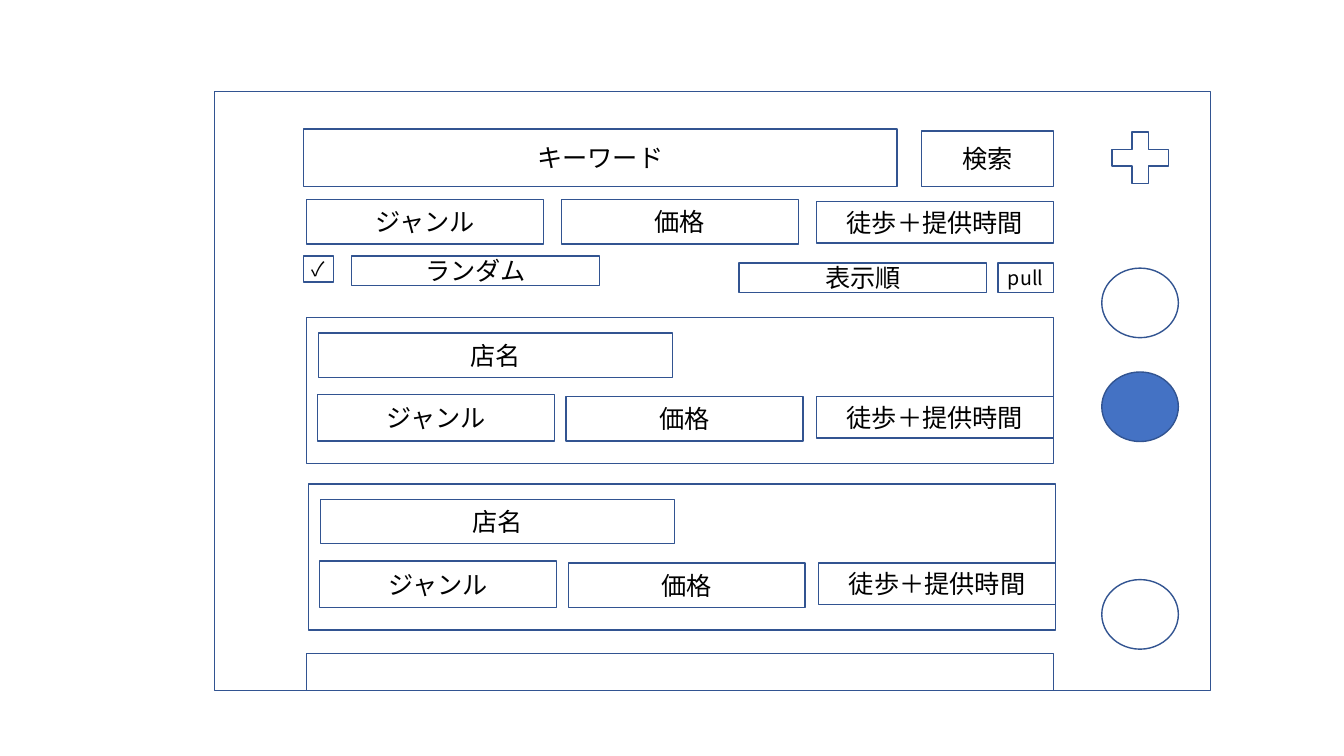
from dataclasses import dataclass

from lxml import etree
from pptx import Presentation
from pptx.dml.color import RGBColor
from pptx.enum.shapes import MSO_SHAPE
from pptx.enum.text import MSO_ANCHOR, PP_ALIGN
from pptx.oxml.ns import qn
from pptx.slide import Slide
from pptx.util import Pt

RECTANGLE = MSO_SHAPE.RECTANGLE
OVAL = MSO_SHAPE.OVAL
PLUS = MSO_SHAPE.MATH_PLUS
MIDDLE = MSO_ANCHOR.MIDDLE
CENTER = PP_ALIGN.CENTER
BLANK_LAYOUT = 6


@dataclass(frozen=True)
class Theme:
    font: str = "Noto Sans CJK JP"
    text: RGBColor = RGBColor(0, 0, 0)
    outline: RGBColor = RGBColor(0x32, 0x54, 0x91)
    accent: RGBColor = RGBColor(0x44, 0x72, 0xC4)
    outline_width: float = 1
    label_size: float = 18
    small_size: float = 14


THEME = Theme()


@dataclass(frozen=True)
class Part:
    """One outlined element of the wireframe, measured in points."""
    left: float
    top: float
    width: float
    height: float
    label: str = ""
    size: float = THEME.label_size
    kind: MSO_SHAPE = RECTANGLE
    fill: RGBColor | None = None


def draw_part(slide: Slide, part: Part, dx: float = 0, dy: float = 0) -> None:
    shape = slide.shapes.add_shape(
        part.kind, Pt(part.left + dx), Pt(part.top + dy), Pt(part.width), Pt(part.height))
    shape.shadow.inherit = False
    shape.line.color.rgb = THEME.outline
    shape.line.width = Pt(THEME.outline_width)
    if part.fill is None:
        shape.fill.background()
    else:
        shape.fill.solid()
        shape.fill.fore_color.rgb = part.fill
    if part.label:
        write_label(shape.text_frame, part)


def write_label(frame, part: Part) -> None:
    frame.text = part.label
    frame.word_wrap = True
    frame.vertical_anchor = MIDDLE
    frame.margin_left = frame.margin_right = frame.margin_top = frame.margin_bottom = 0
    paragraph = frame.paragraphs[0]
    paragraph.alignment = CENTER
    run = paragraph.runs[0]
    run.font.size = Pt(part.size)
    run.font.color.rgb = THEME.text
    run.font.name = THEME.font
    # Japanese glyphs take the East Asian typeface
    east_asian = etree.SubElement(run.font._element, qn("a:ea"))
    east_asian.set("typeface", THEME.font)


# Shared measures
COLUMN_LEFT = 218.9
CARD_WIDTH, CARD_HEIGHT = 533.5, 104.4
FIELD_WIDTH = 169.2
SIDE_LEFT, SIDE_WIDTH, SIDE_HEIGHT = 787, 54.7, 49.7

APP_FRAME = Part(153.4, 65.5, 711.4, 427.7)

SEARCH_AREA = [
    Part(216.7, 92.2, 424.1, 41, "キーワード"),
    Part(658.1, 93.6, 94.3, 39.6, "検索"),
    Part(COLUMN_LEFT, 142.6, FIELD_WIDTH, 31.7, "ジャンル"),
    Part(401, 142.6, FIELD_WIDTH, 31.7, "価格"),
    Part(583.2, 144, FIELD_WIDTH, 29.5, "徒歩＋提供時間"),
    Part(216.7, 182.9, 21.6, 18.7, "✓", THEME.small_size),
    Part(251.3, 182.9, 177.1, 20.9, "ランダム"),
    Part(527.8, 187.9, 177.1, 20.9, "表示順"),
    Part(712.8, 187.9, 39.6, 20.9, "pull", THEME.small_size),
]

# Parts of a shop card, relative to its top left corner
SHOP_CARD = [
    Part(0, 0, CARD_WIDTH, CARD_HEIGHT),
    Part(8.6, 11.2, 252.7, 31.7, "店名"),
    Part(7.9, 55.1, FIELD_WIDTH, 33.1, "ジャンル"),
    Part(185.4, 56.5, FIELD_WIDTH, 31.7, "価格"),
    Part(364.3, 56.5, FIELD_WIDTH, 29.5, "徒歩＋提供時間"),
]
CARD_CORNERS = [(COLUMN_LEFT, 226.8), (220.5, 345.6)]
NEXT_CARD = Part(COLUMN_LEFT, 466.6, CARD_WIDTH, 26.6)

SIDE_BUTTONS = [
    Part(SIDE_LEFT, 87.8, SIDE_WIDTH, SIDE_HEIGHT, kind=PLUS),
    Part(SIDE_LEFT, 191.5, SIDE_WIDTH, SIDE_HEIGHT, kind=OVAL),
    Part(SIDE_LEFT, 265.7, SIDE_WIDTH, SIDE_HEIGHT, kind=OVAL, fill=THEME.accent),
    Part(SIDE_LEFT, 414, SIDE_WIDTH, SIDE_HEIGHT, kind=OVAL),
]


def main() -> None:
    presentation = Presentation()
    presentation.slide_width, presentation.slide_height = Pt(960), Pt(540)
    slide = presentation.slides.add_slide(presentation.slide_layouts[BLANK_LAYOUT])

    # Frame, search area and side buttons
    for part in [APP_FRAME, *SEARCH_AREA, *SIDE_BUTTONS]:
        draw_part(slide, part)

    # Shop list
    for left, top in CARD_CORNERS:
        for part in SHOP_CARD:
            draw_part(slide, part, left, top)
    draw_part(slide, NEXT_CARD)

    presentation.save("out.pptx")


if __name__ == "__main__":
    main()
